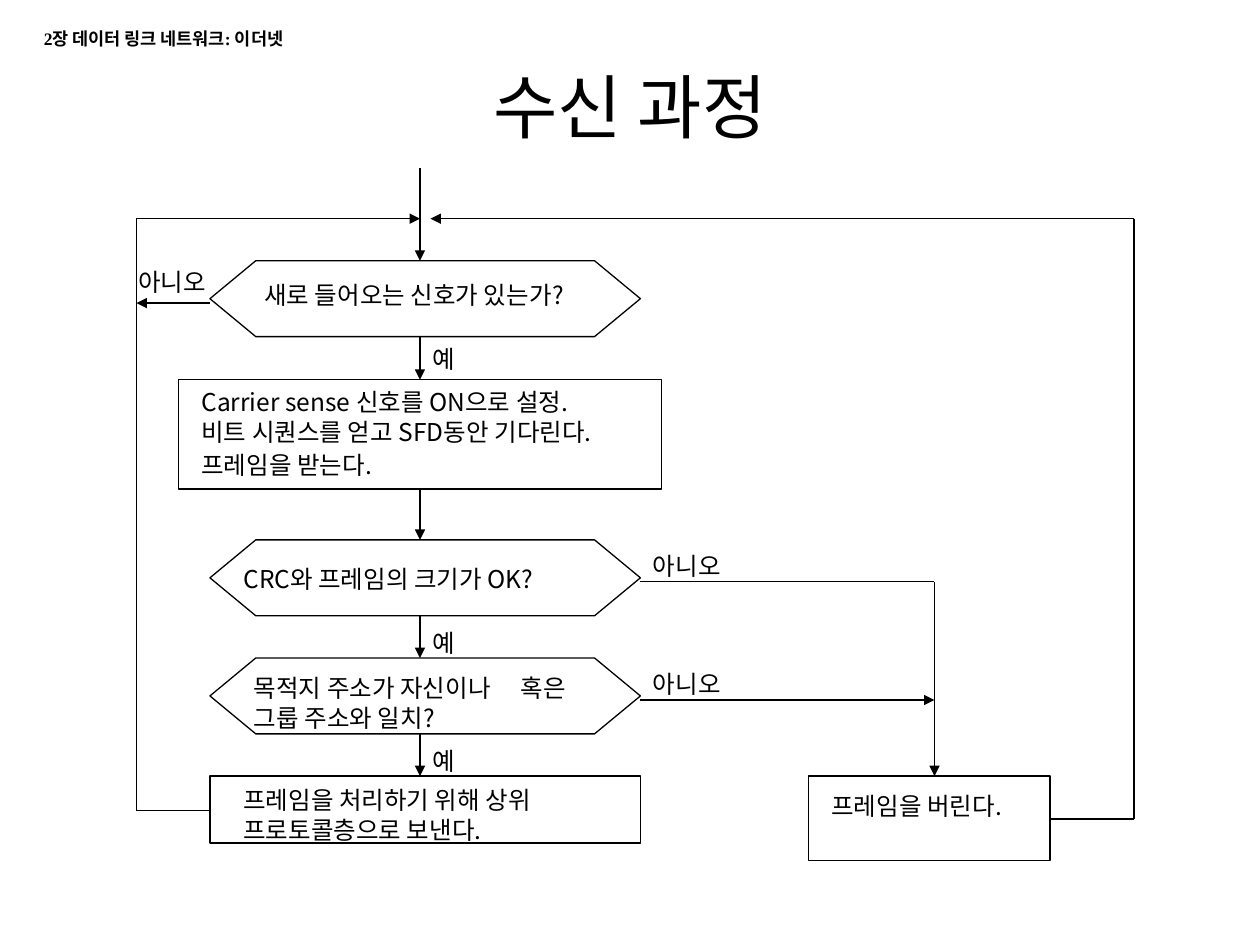
from dataclasses import dataclass
from itertools import pairwise

from lxml import etree
from pptx import Presentation
from pptx.dml.color import RGBColor
from pptx.enum import shapes, text
from pptx.oxml import ns
from pptx.util import Pt


@dataclass(frozen=True)
class Theme:
    ink: RGBColor = RGBColor(0, 0, 0)
    hangul: str = "Noto Sans CJK KR"
    serif: str = "Times New Roman"
    title: int = 40
    body: int = 14
    header: int = 10
    line: float = 0.75


theme = Theme()

deck = Presentation()
deck.slide_width, deck.slide_height = Pt(720), Pt(540)
page = deck.slides.add_slide(deck.slide_layouts[6])


def add_text(place, lines, size=theme.body, name=theme.hangul, bold=False,
             align=text.PP_ALIGN.LEFT, anchor=text.MSO_ANCHOR.TOP,
             spacing=17, gaps=(0,), tab=None):
    """Add a text box; gaps holds the space before each line."""
    box = page.shapes.add_textbox(*map(Pt, place))
    frame = box.text_frame
    frame.word_wrap = True
    frame.vertical_anchor = anchor
    for index, (line, gap) in enumerate(zip(lines, gaps)):
        para = frame.paragraphs[0] if index == 0 else frame.add_paragraph()
        layout = {"alignment": align, "line_spacing": Pt(spacing), "space_before": Pt(gap)}
        for key, value in layout.items():
            setattr(para, key, value)
        if tab:
            tabs = etree.SubElement(para._p.get_or_add_pPr(), ns.qn("a:tabLst"))
            etree.SubElement(tabs, ns.qn("a:tab"), pos=str(Pt(tab)), algn="l")
        span = para.add_run()
        span.text = line
        for key, value in {"name": name, "size": Pt(size), "bold": bold}.items():
            setattr(span.font, key, value)
        span.font.color.rgb = theme.ink
        etree.SubElement(span.font._element, ns.qn("a:ea"), typeface=theme.hangul)


def add_route(points, arrow=True):
    """Join the points with straight lines, with an arrowhead at the last one."""
    legs = list(pairwise(points))
    for index, (start, end) in enumerate(legs):
        leg = page.shapes.add_connector(shapes.MSO_CONNECTOR.STRAIGHT,
                                        *map(Pt, (*start, *end)))
        leg.line.color.rgb = theme.ink
        leg.line.width = Pt(theme.line)
        if arrow and index == len(legs) - 1:
            etree.SubElement(leg.line._get_or_add_ln(), ns.qn("a:tailEnd"), type="triangle")
        etree.SubElement(leg._element.spPr, ns.qn("a:effectLst"))


# Title and chapter header
add_text((54, 30, 612, 54), ["수신 과정"], size=theme.title, spacing=54.5,
         align=text.PP_ALIGN.CENTER, anchor=text.MSO_ANCHOR.MIDDLE)
add_text((18, 12, 318, 19.5), ["2장 데이터 링크 네트워크: 이더넷"],
         size=theme.header, name=theme.serif, bold=True, spacing=12.5)

# Flowchart boxes
step, decision = shapes.MSO_SHAPE.RECTANGLE, shapes.MSO_SHAPE.HEXAGON
left, width, hex_height = 120, 246, 43.4
signal_top, receive_top, crc_top, address_top, last_top = 149, 217, 308.5, 376, 443.5
outlines = [
    (step, (102, receive_top, 276, 62.5)),
    (step, (left, last_top, width, 38.2)),
    (step, (462, last_top, 138, 48.2)),
    *((decision, (left, top, width, hex_height))
      for top in (signal_top, crc_top, address_top)),
]
for kind, place in outlines:
    shape = page.shapes.add_shape(kind, *map(Pt, place))
    shape.shadow.inherit = False
    shape.fill.background()
    shape.line.color.rgb = theme.ink
    shape.line.width = Pt(theme.line)
    if kind == decision:
        shape.adjustments[0] = 0.604

# Main flow downwards, then the branches and return loops
axis, right, merge = 240, left + width, 125
loop_left, loop_right, discard = 78, 648, 534
downward = [
    (96, signal_top),
    (signal_top + hex_height, receive_top),
    (receive_top + 62.5, crc_top),
    (crc_top + hex_height, address_top),
    (address_top + hex_height, last_top),
]
for start, end in downward:
    add_route([(axis, start), (axis, end)])
add_route([(right, 332.5), (discard, 332.5), (discard, last_top)])
add_route([(right, 400), (discard, 400)])
add_route([(left, 173.2), (loop_left, 173.2)])
add_route([(left, 463), (loop_left, 463), (loop_left, merge), (axis, merge)])
add_route([(600, 468), (loop_right, 468), (loop_right, merge), (246, merge)])

# Branch labels
for x, y in ((72, 149), (right, 311.2), (right, 378.7)):
    add_text((x, y, 84, 24), ["아니오"])
for y in (193, 355, 422.5):
    add_text((axis, y, 42, 24), ["예"])

# Box wording
add_text((144, 156.2, 216, 24), ["새로 들어오는 신호가 있는가?"])
add_text((108, 222.5, 270, 57),
         ["Carrier sense 신호를 ON으로 설정.",
          "비트 시퀀스를 얻고 SFD동안 기다린다.",
          "프레임을 받는다."], spacing=12, gaps=(0, 5, 7))
add_text((132, 318.5, 222, 24), ["CRC와 프레임의 크기가 OK?"])
add_text((138, 381, 216, 41), ["목적지 주소가 자신이나\t혹은 그룹 주소와 일치?"], tab=152.5)
add_text((132, 445, 222, 41), ["프레임을 처리하기 위해 상위 프로토콜층으로 보낸다."])
add_text((468, 448.5, 126, 24), ["프레임을 버린다."])

deck.save("out.pptx")
